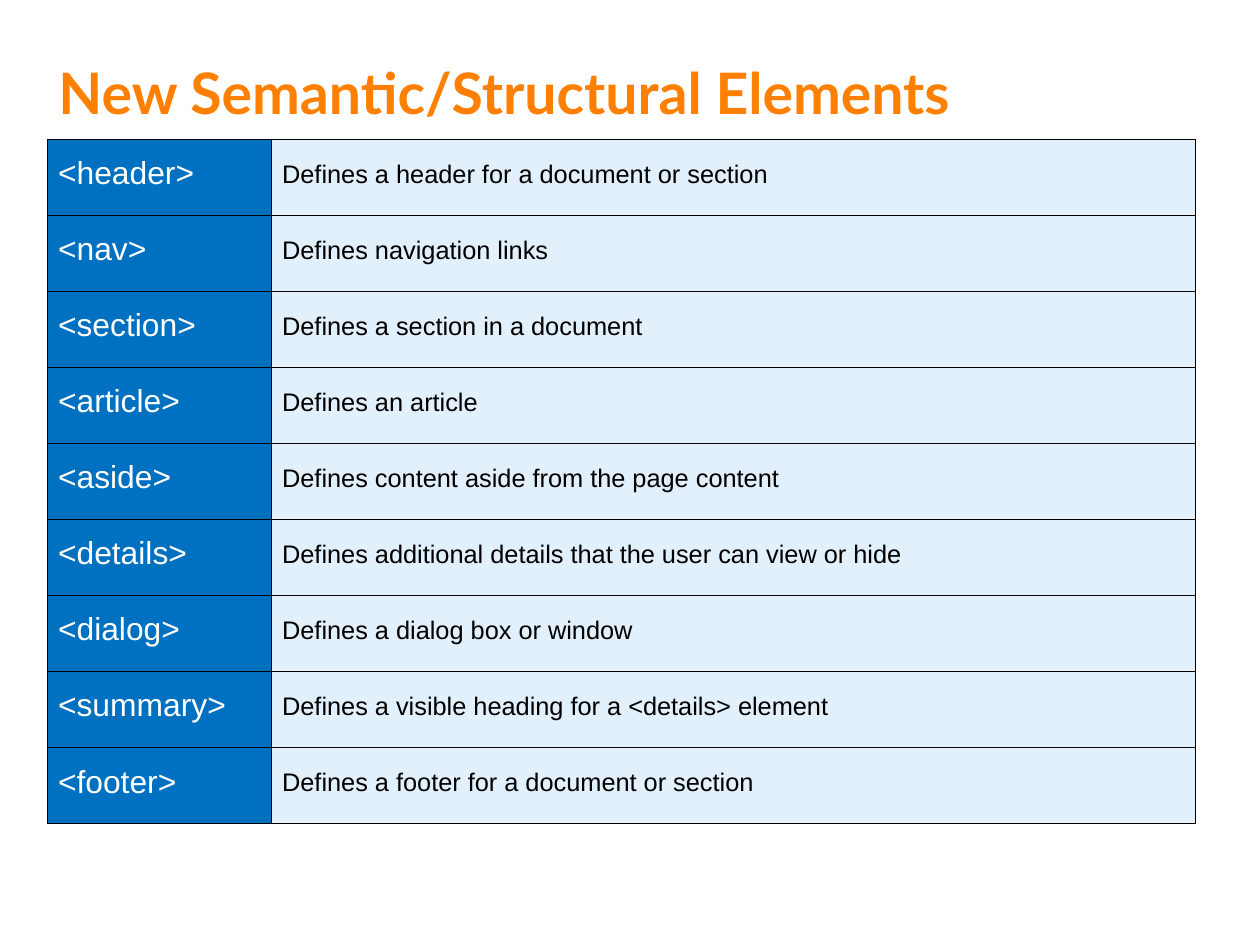
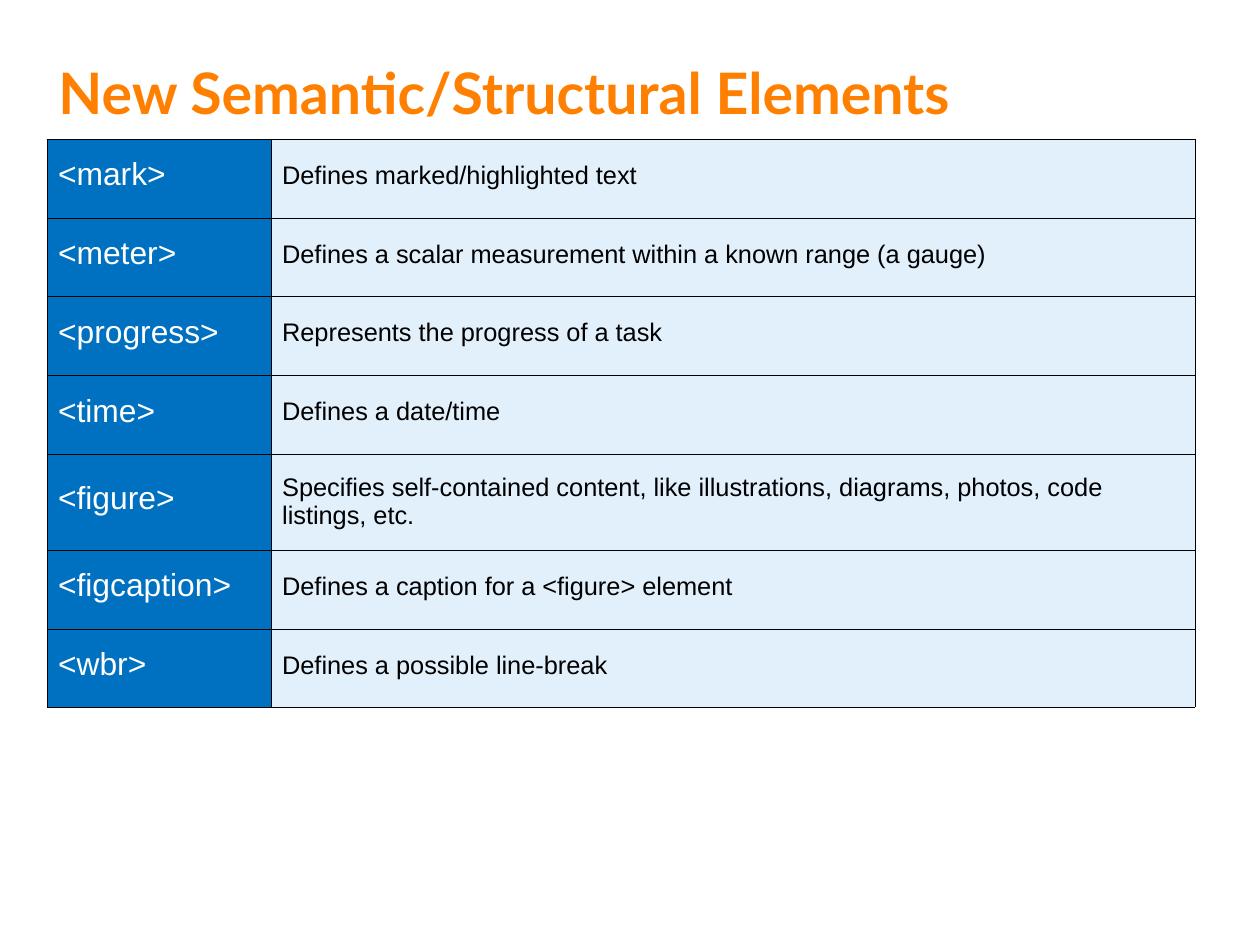
from dataclasses import dataclass
from typing import Any

from lxml.etree import SubElement
from pptx import Presentation
from pptx.dml.color import RGBColor
from pptx.enum.text import MSO_ANCHOR, MSO_AUTO_SIZE, PP_ALIGN
from pptx.oxml.ns import qn
from pptx.util import Cm, Length, Pt


# Shared look
@dataclass(frozen=True)
class TextStyle:
    font: str
    size: Length
    color: str
    bold: bool = False


@dataclass(frozen=True)
class Theme:
    title: TextStyle = TextStyle("Lato", Pt(36), "FF8001", True)
    tag: TextStyle = TextStyle("Arial", Pt(20), "FFFFFF")
    description: TextStyle = TextStyle("Arial", Pt(16), "000000")
    tag_fill: str = "0070C0"
    description_fill: str = "E2F0FC"
    border: str = "000000"
    border_width: Length = Pt(0.11)
    title_spacing: float = 1.11
    tight_spacing: float = 0.71


THEME = Theme()
TITLE = "New Semantic/Structural Elements"
TITLE_BOX = {"left": Cm(1.04), "top": Cm(0.97), "width": Cm(25.55), "height": Cm(2.54)}
TITLE_INDENT = {"marL": Cm(0.6), "indent": Cm(-0.59)}
INSETS = {
    "margin_left": Cm(0.25),
    "margin_right": Cm(0.25),
    "margin_top": Cm(0.13),
    "margin_bottom": Cm(0.13),
}
TABLE_LEFT, TABLE_TOP = Cm(1.04), Cm(3.09)
COLUMN_WIDTHS = (Cm(4.98), Cm(20.54))


# Content
@dataclass(frozen=True)
class ElementRow:
    tag: str
    description: str
    height: Length | None = None
    spacing: float = THEME.tight_spacing


@dataclass(frozen=True)
class ElementPage:
    row_height: Length
    rows: tuple[ElementRow, ...]


PAGES = (
    ElementPage(Cm(1.69), (
        ElementRow("<header>", "Defines a header for a document or section"),
        ElementRow("<nav>", "Defines navigation links"),
        ElementRow("<section>", "Defines a section in a document"),
        ElementRow("<article>", "Defines an article"),
        ElementRow("<aside>", "Defines content aside from the page content"),
        ElementRow("<details>", "Defines additional details that the user can view or hide"),
        ElementRow("<dialog>", "Defines a dialog box or window"),
        ElementRow("<summary>", "Defines a visible heading for a <details> element"),
        ElementRow("<footer>", "Defines a footer for a document or section"),
    )),
    ElementPage(Cm(1.75), (
        ElementRow("<mark>", "Defines marked/highlighted text"),
        ElementRow("<meter>", "Defines a scalar measurement within a known range (a gauge)"),
        ElementRow("<progress>", "Represents the progress of a task"),
        ElementRow("<time>", "Defines a date/time"),
        ElementRow(
            "<figure>",
            "Specifies self-contained content, like illustrations, diagrams, photos, "
            "code listings, etc.",
            height=Cm(2.13),
            spacing=1.0,
        ),
        ElementRow("<figcaption>", "Defines a caption for a <figure> element"),
        ElementRow("<wbr>", "Defines a possible line-break"),
    )),
)


# Formatting helpers
def set_attributes(target: Any, values: dict[str, Any]) -> None:
    for name, value in values.items():
        setattr(target, name, value)


def write_text(text_frame: Any, text: str, style: TextStyle, spacing: float) -> Any:
    paragraph = text_frame.paragraphs[0]
    set_attributes(paragraph, {"alignment": PP_ALIGN.LEFT, "line_spacing": spacing})
    run = paragraph.add_run()
    run.text = text
    set_attributes(run.font, {"name": style.font, "size": style.size, "bold": style.bold})
    run.font.color.rgb = RGBColor.from_string(style.color)
    return paragraph


def add_borders(cell: Any) -> None:
    properties = cell._tc.get_or_add_tcPr()
    for side in ("a:lnL", "a:lnR", "a:lnT", "a:lnB"):
        line = SubElement(properties, qn(side), w=str(THEME.border_width))
        fill = SubElement(line, qn("a:solidFill"))
        SubElement(fill, qn("a:srgbClr"), val=THEME.border)


# Slide parts
def add_title(slide: Any) -> None:
    title = slide.shapes.title
    set_attributes(title, TITLE_BOX)
    set_attributes(title.text_frame, INSETS | {
        "word_wrap": True,
        "auto_size": MSO_AUTO_SIZE.NONE,
        "vertical_anchor": MSO_ANCHOR.TOP,
    })
    paragraph = write_text(title.text_frame, TITLE, THEME.title, THEME.title_spacing)
    for name, value in TITLE_INDENT.items():
        paragraph._p.get_or_add_pPr().set(name, str(value))


def fill_cell(cell: Any, text: str, style: TextStyle, fill: str, spacing: float) -> None:
    set_attributes(cell, INSETS | {"vertical_anchor": MSO_ANCHOR.MIDDLE})
    add_borders(cell)
    cell.fill.solid()
    cell.fill.fore_color.rgb = RGBColor.from_string(fill)
    write_text(cell.text_frame, text, style, spacing)


def add_element_table(slide: Any, page: ElementPage) -> None:
    heights = [row.height or page.row_height for row in page.rows]
    table = slide.shapes.add_table(
        len(page.rows), len(COLUMN_WIDTHS),
        TABLE_LEFT, TABLE_TOP, sum(COLUMN_WIDTHS), sum(heights),
    ).table
    set_attributes(table, {"first_row": False, "horz_banding": False})
    for column, width in zip(table.columns, COLUMN_WIDTHS):
        column.width = width
    for table_row, row, height in zip(table.rows, page.rows, heights):
        table_row.height = height
        tag_cell, description_cell = table_row.cells
        fill_cell(tag_cell, row.tag, THEME.tag, THEME.tag_fill, THEME.tight_spacing)
        fill_cell(description_cell, row.description, THEME.description,
                  THEME.description_fill, row.spacing)


def main() -> None:
    presentation = Presentation()
    set_attributes(presentation, {"slide_width": Cm(28), "slide_height": Cm(21)})
    title_only = presentation.slide_layouts.get_by_name("Title Only")
    for page in PAGES:
        slide = presentation.slides.add_slide(title_only)
        add_title(slide)
        add_element_table(slide, page)
    presentation.save("out.pptx")


if __name__ == "__main__":
    main()
